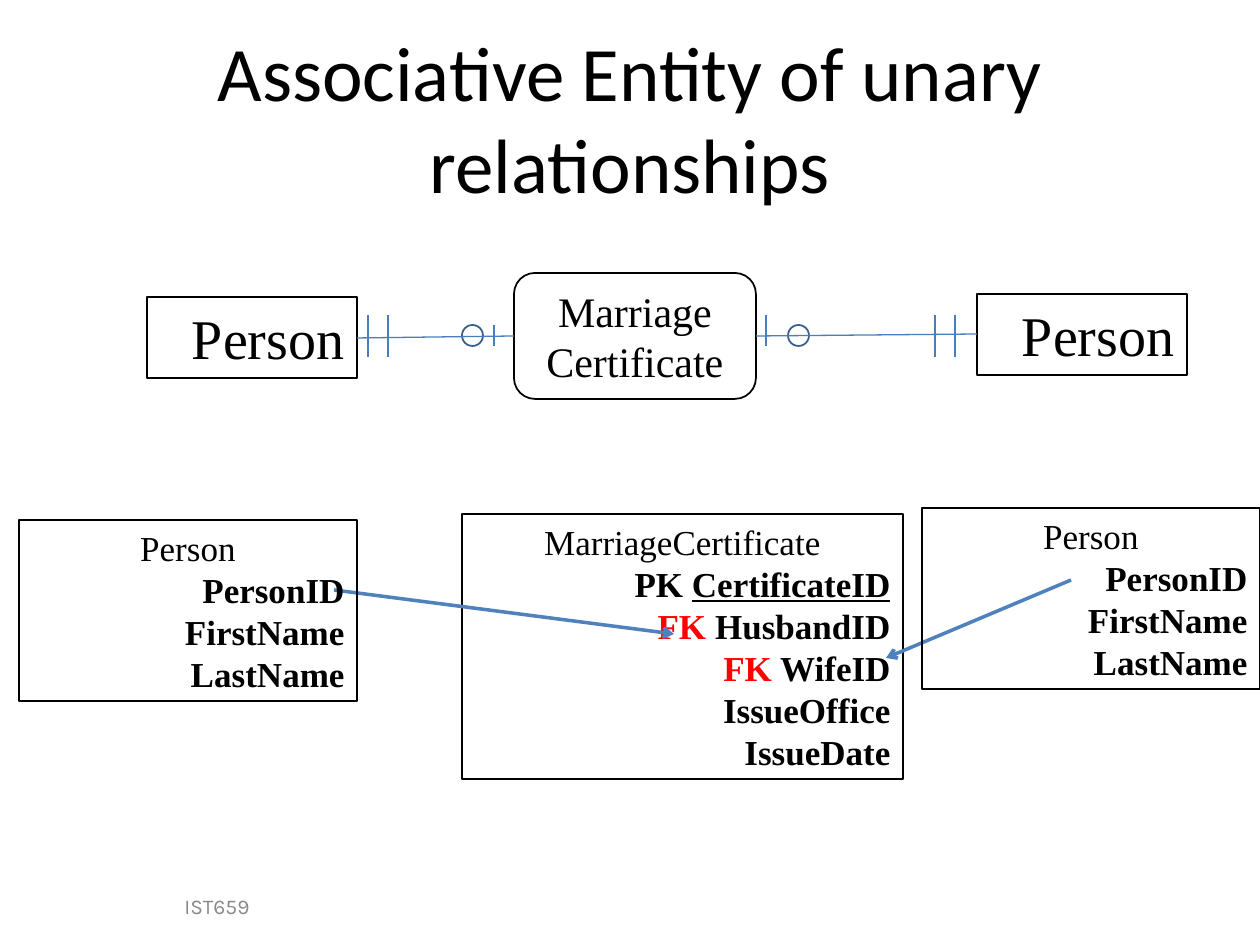
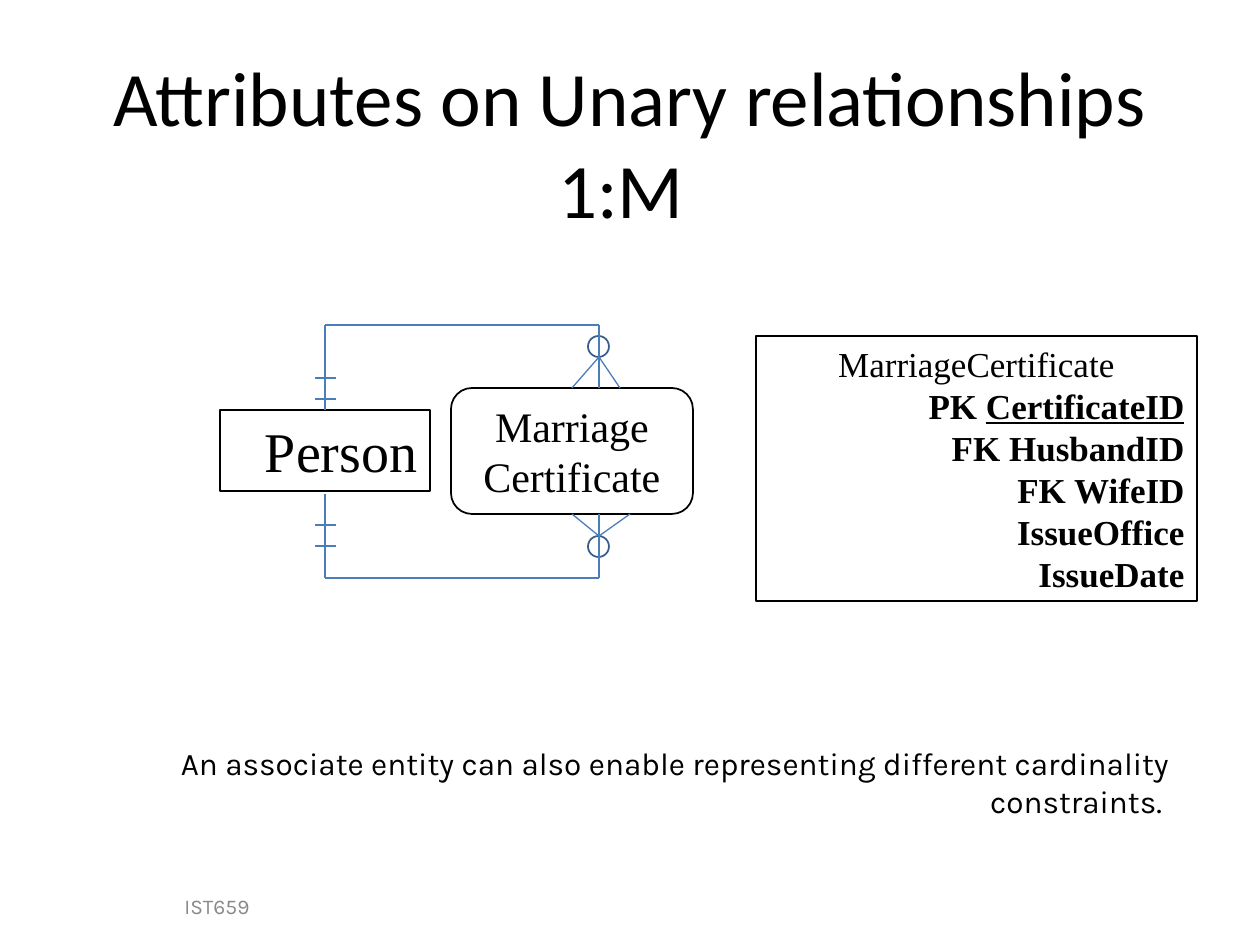
import pptx
import pptx.util
import pptx.dml.color
import pptx.enum.shapes
import pptx.enum.text
import pptx.oxml.ns
import lxml.etree

EMU_PER_PX = 914400 / 126
COLORS = {
    "text": "000000",
    "footer": "898989",
    "foreign_key": "FF0000",
    "relation": "4A7EBB",
    "arrow": "4F81BD",
    "circle": "385D8A",
}
RGB = {name: pptx.dml.color.RGBColor.from_string(value) for name, value in COLORS.items()}
ALIGN = pptx.enum.text.PP_ALIGN
ANCHOR = pptx.enum.text.MSO_ANCHOR
SHAPE = pptx.enum.shapes.MSO_SHAPE
CONNECTOR = pptx.enum.shapes.MSO_CONNECTOR

PERSON_FIELDS = [("", "PersonID"), ("", "FirstName"), ("", "LastName")]
CERTIFICATE_FIELDS = [
    ("PK", "CertificateID"), ("FK", "HusbandID"), ("FK", "WifeID"),
    ("", "IssueOffice"), ("", "IssueDate"),
]
PERSON_SIZE = (210, 81)
CERTIFICATE_SIZE = (242, 126)
PERSON_TABLE_SIZE = (338, 181)
CERTIFICATE_TABLE_SIZE = (441, 265)
CIRCLE = 21


def add_entity(slide, position, size, heading, points, align=ALIGN.CENTER,
               fields=(), rounded=False, key_color="text"):
    kind = SHAPE.ROUNDED_RECTANGLE if rounded else SHAPE.RECTANGLE
    entity = slide.shapes.add_shape(kind, *(round(v * EMU_PER_PX) for v in position + size))
    entity.shadow.inherit = False
    entity.fill.background()
    entity.line.color.rgb = RGB["text"]
    entity.line.width = pptx.util.Pt(1 if rounded else 0.75)
    frame = entity.text_frame
    frame.word_wrap = True
    frame.vertical_anchor = ANCHOR.MIDDLE if rounded else ANCHOR.TOP
    frame.text = heading
    frame.paragraphs[0].alignment = align
    for key, field in fields:
        row = frame.add_paragraph()
        row.alignment = ALIGN.RIGHT
        row.font.bold = True
        if key:
            key_run = row.add_run()
            key_run.text = key
            key_run.font.color.rgb = RGB[key_color if key == "FK" else "text"]
            row.add_run().text = " "
        field_run = row.add_run()
        field_run.text = field
        if key == "PK":
            field_run.font.underline = True
    for row in frame.paragraphs:
        row.font.name = "Times New Roman"
        row.font.size = pptx.util.Pt(points)
        row.font.color.rgb = RGB["text"]


def add_line(slide, x1, y1, x2, y2, arrow=False):
    line = slide.shapes.add_connector(
        CONNECTOR.STRAIGHT, *(round(v * EMU_PER_PX) for v in (x1, y1, x2, y2)))
    line.line.color.rgb = RGB["arrow" if arrow else "relation"]
    line.line.width = pptx.util.Pt(2 if arrow else 0.75)
    if arrow:
        head = lxml.etree.SubElement(line.line._get_or_add_ln(), pptx.oxml.ns.qn("a:tailEnd"))
        head.set("type", "arrow")
    lxml.etree.SubElement(line._element.spPr, pptx.oxml.ns.qn("a:effectLst"))


presentation = pptx.Presentation()
presentation.slide_width = round(1260 * EMU_PER_PX)
presentation.slide_height = round(945 * EMU_PER_PX)
title_only = presentation.slide_layouts[5]
associative = presentation.slides.add_slide(title_only)
one_to_many = presentation.slides.add_slide(title_only)

# Titles
for slide, top, heading in [
    (associative, 38, "Associative Entity of unary relationships"),
    (one_to_many, 63, "Attributes on Unary relationships\v1:M "),
]:
    title = slide.shapes.title
    title.left, title.top, title.width, title.height = (
        round(v * EMU_PER_PX) for v in (63, top, 1134, 158))
    title.text_frame.text = heading
    title.text_frame.vertical_anchor = ANCHOR.MIDDLE
    title.text_frame.auto_size = pptx.enum.text.MSO_AUTO_SIZE.NONE
    for paragraph in title.text_frame.paragraphs:
        paragraph.alignment = ALIGN.CENTER
        paragraph.font.name = "Calibri"
        paragraph.font.size = pptx.util.Pt(44)
        paragraph.font.color.rgb = RGB["text"]

# Footers and the closing remark
footer = ((20, 881, 399, 50), "IST659 ", 12, "footer", ALIGN.CENTER, ANCHOR.MIDDLE)
remark = ((13, 738, 1169, 88),
          "An associate entity can also enable representing different cardinality constraints. ",
          18, "text", ALIGN.RIGHT, ANCHOR.TOP)
for slide, (box, words, points, color, align, anchor) in [
    (associative, footer), (one_to_many, footer), (one_to_many, remark),
]:
    caption = slide.shapes.add_textbox(*(round(v * EMU_PER_PX) for v in box)).text_frame
    caption.word_wrap = True
    caption.vertical_anchor = anchor
    caption.text = words
    paragraph = caption.paragraphs[0]
    paragraph.alignment = align
    paragraph.font.name = "Karla"
    paragraph.font.size = pptx.util.Pt(points)
    paragraph.font.color.rgb = RGB[color]

# Entities of both diagrams
for slide, position in [
    (associative, (147, 297)), (associative, (977, 294)), (one_to_many, (220, 410)),
]:
    add_entity(slide, position, PERSON_SIZE, "Person", 32, ALIGN.RIGHT)
for slide, position, table_position, key_color in [
    (associative, (514, 273), (462, 514), "foreign_key"),
    (one_to_many, (451, 388), (756, 336), "text"),
]:
    add_entity(slide, position, CERTIFICATE_SIZE, "Marriage Certificate", 24, rounded=True)
    add_entity(slide, table_position, CERTIFICATE_TABLE_SIZE, "MarriageCertificate", 20,
               fields=CERTIFICATE_FIELDS, key_color=key_color)

# Optional ends of the relationships
for slide, left, top in [
    (associative, 462, 325), (associative, 788, 325),
    (one_to_many, 588, 336), (one_to_many, 588, 536),
]:
    optional = slide.shapes.add_shape(
        SHAPE.OVAL, *(round(v * EMU_PER_PX) for v in (left, top, CIRCLE, CIRCLE)))
    optional.shadow.inherit = False
    optional.fill.background()
    optional.line.color.rgb = RGB["circle"]
    optional.line.width = pptx.util.Pt(1)

# Associative entity: relationships and their cardinality bars
add_line(associative, 357, 338, 514, 336)
add_line(associative, 756, 336, 977, 334)
for x, top, bottom in [(494, 325, 346), (766, 315, 346)]:
    add_line(associative, x, top, x, bottom)
for x in (368, 388, 935, 955):
    add_line(associative, x, 315, x, 357)

# Associative entity: foreign key arrows and the tables they start from
add_line(associative, 334, 590, 674, 634, arrow=True)
add_line(associative, 1071, 580, 886, 658, arrow=True)
for position in [(19, 520), (922, 508)]:
    add_entity(associative, position, PERSON_TABLE_SIZE, "Person", 20, fields=PERSON_FIELDS)

# One to many: loops above and below the entities, with bars and crow's feet
PERSON_X, CERTIFICATE_X = 325, 599
for outer_y, person_y, certificate_y, bars, foot_y, feet in [
    (325, 410, 388, (378, 399), 357, (572, 620)),
    (578, 494, 514, (525, 546), 536, (572, 630)),
]:
    add_line(one_to_many, PERSON_X, outer_y, PERSON_X, person_y)
    add_line(one_to_many, PERSON_X, outer_y, CERTIFICATE_X, outer_y)
    add_line(one_to_many, CERTIFICATE_X, outer_y, CERTIFICATE_X, certificate_y)
    for y in bars:
        add_line(one_to_many, PERSON_X - 10, y, PERSON_X + 11, y)
    for x in feet:
        add_line(one_to_many, CERTIFICATE_X, foot_y, x, certificate_y)

presentation.save("out.pptx")
